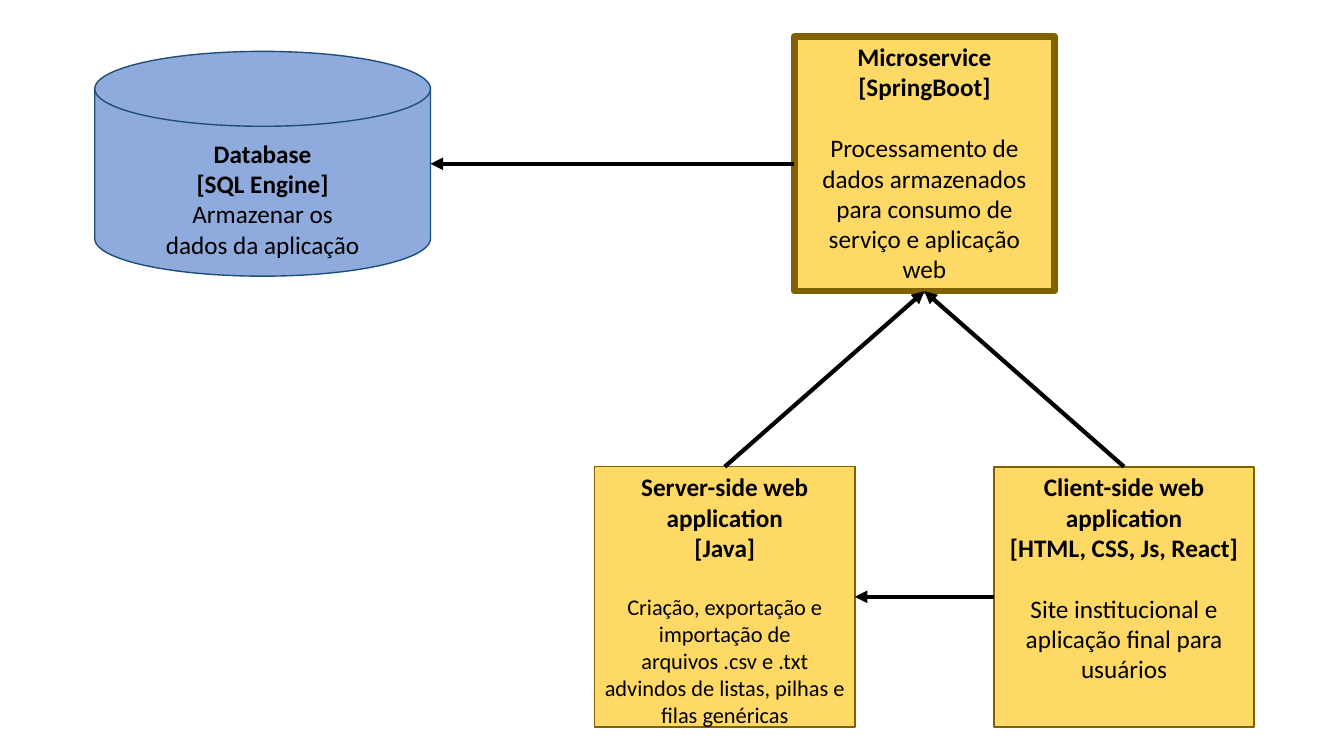
"""Draw a diagram of a web system: database, microservice and two web applications."""
from dataclasses import dataclass

from lxml import etree
from pptx import Presentation
from pptx import util as u
from pptx.dml import color
from pptx.enum import shapes, text
from pptx.oxml import ns
from pptx.shapes.autoshape import Shape
from pptx.slide import Slide

BOX_FILL, BOX_LINE = "FFD966", "806000"
DISK_FILL, DISK_LINE = "8FAADC", "1F4E79"
INK = "000000"
FONT = "Calibri"
BOX_SIZE = 185.8
APP_TOP = 333.4
TOP, LEFT, BOTTOM, RIGHT = range(4)


@dataclass
class Component:
    left: float
    top: float
    width: float
    height: float
    heading: list[str]
    purpose: list[str]
    border: float
    fill: str = BOX_FILL
    line: str = BOX_LINE
    kind: shapes.MSO_SHAPE = shapes.MSO_SHAPE.RECTANGLE
    inset_top: float = 3.6
    purpose_size: float = 18
    purpose_gap: float = 22


def rgb(value: str) -> color.RGBColor:
    return color.RGBColor.from_string(value)


def write(shape: Shape, component: Component) -> None:
    frame = shape.text_frame
    frame.word_wrap = True
    frame.vertical_anchor = text.MSO_ANCHOR.TOP
    frame.margin_top, frame.margin_bottom = u.Pt(component.inset_top), u.Pt(0)
    lines = [(words, 18, True) for words in component.heading]
    lines += [(words, component.purpose_size, False) for words in component.purpose]
    for index, (words, size, bold) in enumerate(lines):
        paragraph = frame.add_paragraph() if index else frame.paragraphs[0]
        paragraph.alignment = text.PP_ALIGN.CENTER
        if index == len(component.heading):
            paragraph.space_before = u.Pt(component.purpose_gap)
        run = paragraph.add_run()
        run.text = words
        run.font.name = FONT
        run.font.size = u.Pt(size)
        run.font.bold = bold
        run.font.color.rgb = rgb(INK)


def draw(slide: Slide, component: Component) -> Shape:
    shape = slide.shapes.add_shape(
        component.kind, u.Pt(component.left), u.Pt(component.top),
        u.Pt(component.width), u.Pt(component.height))
    shape.shadow.inherit = False
    shape.fill.solid()
    shape.fill.fore_color.rgb = rgb(component.fill)
    shape.line.color.rgb = rgb(component.line)
    shape.line.width = u.Pt(component.border)
    write(shape, component)
    return shape


def link(slide: Slide, source: Shape, source_side: int,
         target: Shape, target_side: int) -> None:
    arrow = slide.shapes.add_connector(
        shapes.MSO_CONNECTOR.STRAIGHT, 0, 0,
        target.left + target.width, target.top + target.height // 2)
    arrow.begin_connect(source, source_side)
    if target.auto_shape_type == shapes.MSO_SHAPE.RECTANGLE:
        arrow.end_connect(target, target_side)
    arrow.line.color.rgb = rgb(INK)
    arrow.line.width = u.Pt(3)
    etree.SubElement(arrow.line._get_or_add_ln(), ns.qn("a:tailEnd"), type="triangle")
    etree.SubElement(arrow._element.spPr, ns.qn("a:effectLst"))


def main() -> None:
    deck = Presentation()
    deck.slide_width, deck.slide_height = u.Pt(960), u.Pt(540)
    slide = deck.slides.add_slide(deck.slide_layouts[6])

    database = draw(slide, Component(
        67.7, 36.7, 239.8, 160.6,
        ["Database", "[SQL Engine]"],
        ["Armazenar os", "dados da aplicação"],
        border=1, fill=DISK_FILL, line=DISK_LINE,
        kind=shapes.MSO_SHAPE.FLOWCHART_MAGNETIC_DISK,
        inset_top=8.6, purpose_gap=0))
    microservice = draw(slide, Component(
        567.4, 26, BOX_SIZE, 182,
        ["Microservice", "[SpringBoot]"],
        ["Processamento de dados armazenados para consumo de serviço e aplicação web"],
        border=4.5))
    server_side = draw(slide, Component(
        424.8, APP_TOP, BOX_SIZE, BOX_SIZE,
        ["Server-side web application", "[Java]"],
        ["Criação, exportação e importação de arquivos .csv e .txt "
         "advindos de listas, pilhas e filas genéricas"],
        border=1, purpose_size=16))
    client_side = draw(slide, Component(
        710, APP_TOP, BOX_SIZE, BOX_SIZE,
        ["Client-side web application", "[HTML, CSS, Js, React]"],
        ["Site institucional e aplicação final para usuários"],
        border=1.5))

    link(slide, microservice, LEFT, database, RIGHT)
    link(slide, server_side, TOP, microservice, BOTTOM)
    link(slide, client_side, TOP, microservice, BOTTOM)
    link(slide, client_side, LEFT, server_side, RIGHT)
    deck.save("out.pptx")


if __name__ == "__main__":
    main()
